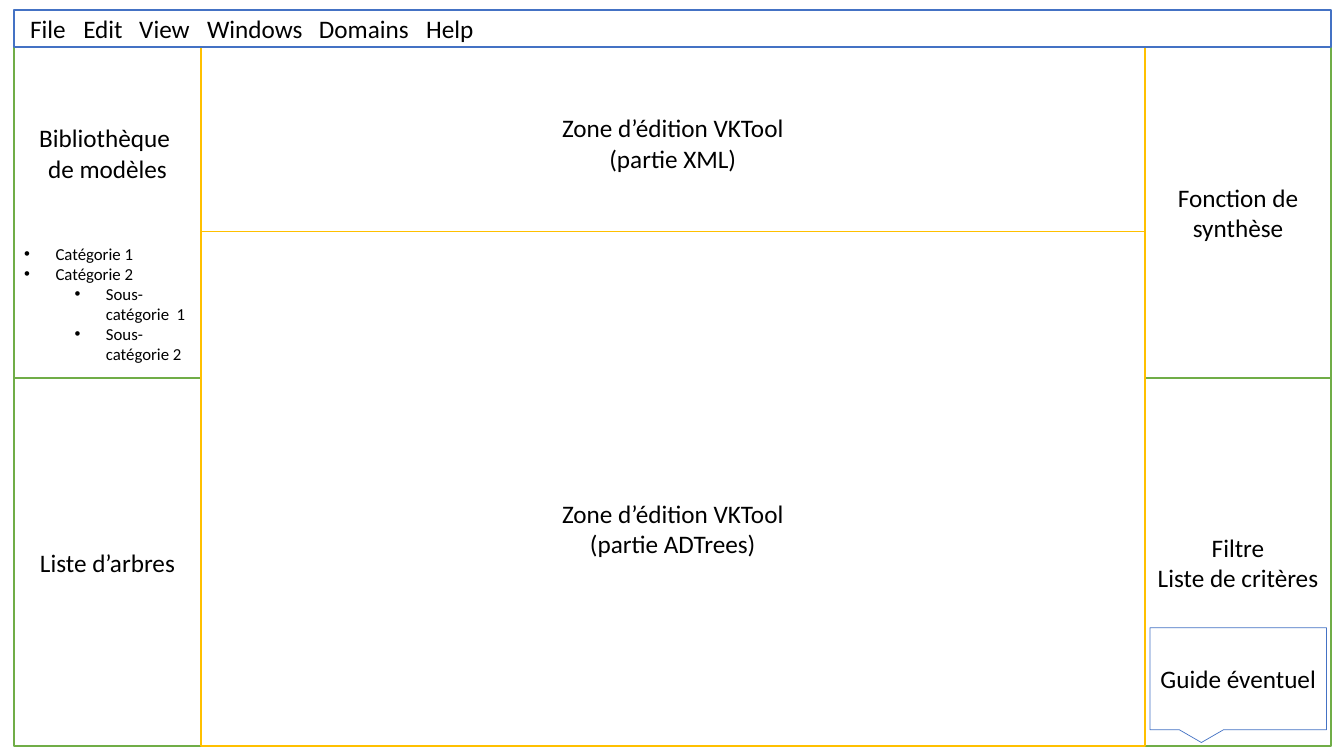
import dataclasses
import typing

import pptx
import pptx.dml.color
import pptx.enum.shapes
import pptx.enum.text
import pptx.oxml
import pptx.oxml.ns
import pptx.util

Cm = pptx.util.Cm
Pt = pptx.util.Pt
RGBColor = pptx.dml.color.RGBColor
Shape = pptx.enum.shapes.MSO_SHAPE
Align = pptx.enum.text.PP_ALIGN
Anchor = pptx.enum.text.MSO_ANCHOR

WHITE = RGBColor(0xFF, 0xFF, 0xFF)
BLACK = RGBColor(0x00, 0x00, 0x00)
GREEN = RGBColor(0x70, 0xAD, 0x47)
GOLD = RGBColor(0xFF, 0xC0, 0x00)
BLUE = RGBColor(0x44, 0x72, 0xC4)

# Window layout, in centimetres
LEFT, RIGHT = 0.36, 33.55
TOP, MENU_BOTTOM, SPLIT, BOTTOM = 0.25, 1.19, 9.53, 18.8
SIDE_WIDTH = 4.7
EDIT_LEFT, EDIT_RIGHT = LEFT + SIDE_WIDTH, RIGHT - SIDE_WIDTH
EDIT_SPLIT = 5.82
ZONE_WIDTH, ZONE_HEIGHT = 8.5, 1.8
BULLET_HANG = 0.79
MENU_TABS = (1.34, 2.75, 4.46, 7.28, 9.98)


@dataclasses.dataclass(frozen=True)
class Line:
    text: str
    size: int = 18
    align: Align = Align.CENTER
    level: int = 0
    bullet_left: float | None = None
    space_before: int = 0
    tabs: tuple[float, ...] = ()


@dataclasses.dataclass(frozen=True)
class Panel:
    left: float
    top: float
    right: float
    bottom: float
    color: RGBColor
    lines: tuple[Line, ...] = ()
    kind: Shape = Shape.RECTANGLE
    weight: float = 1.5
    frame: dict[str, typing.Any] = dataclasses.field(default_factory=dict)


def apply_format(target: typing.Any, values: dict[str, typing.Any]) -> None:
    for name, value in values.items():
        setattr(target, name, value)


def add_child(parent: typing.Any, xml: str) -> None:
    parent.append(pptx.oxml.parse_xml(xml))


def write_line(para: typing.Any, line: Line) -> None:
    apply_format(para, {"alignment": line.align, "level": line.level,
                        "space_before": Pt(line.space_before)})
    namespace = pptx.oxml.ns.nsdecls("a")
    properties = para._p.get_or_add_pPr()
    if line.bullet_left is not None:
        properties.set("marL", str(Cm(line.bullet_left)))
        properties.set("indent", str(-Cm(BULLET_HANG)))
        add_child(properties, f'<a:buFont {namespace} typeface="Arial"/>')
        add_child(properties, f'<a:buChar {namespace} char="•"/>')
    if line.tabs:
        stops = "".join(f'<a:tab pos="{Cm(stop)}" algn="l"/>' for stop in line.tabs)
        add_child(properties, f"<a:tabLst {namespace}>{stops}</a:tabLst>")
    span = para.add_run()
    span.text = line.text
    apply_format(span.font, {"name": "Calibri", "size": Pt(line.size)})
    span.font.color.rgb = BLACK


def write_lines(box: typing.Any, lines: tuple[Line, ...],
                frame: dict[str, typing.Any]) -> None:
    text_frame = box.text_frame
    apply_format(text_frame, {"word_wrap": True,
                              "vertical_anchor": Anchor.MIDDLE, **frame})
    for index, line in enumerate(lines):
        para = text_frame.add_paragraph() if index else text_frame.paragraphs[0]
        write_line(para, line)


def draw_panel(page: typing.Any, panel: Panel) -> None:
    box = page.shapes.add_shape(
        panel.kind, Cm(panel.left), Cm(panel.top),
        Cm(panel.right - panel.left), Cm(panel.bottom - panel.top))
    box.shadow.inherit = False
    box.fill.solid()
    box.fill.fore_color.rgb = WHITE
    box.line.color.rgb = panel.color
    box.line.width = Pt(panel.weight)
    write_lines(box, panel.lines, panel.frame)


def draw_zone_label(page: typing.Any, top: float, part: str) -> None:
    left = (LEFT + RIGHT - ZONE_WIDTH) / 2
    box = page.shapes.add_textbox(Cm(left), Cm(top), Cm(ZONE_WIDTH), Cm(ZONE_HEIGHT))
    write_lines(box, (Line("Zone d’édition VKTool"), Line(part)), {})


def draw_divider(page: typing.Any, top: float) -> None:
    divider = page.shapes.add_connector(
        pptx.enum.shapes.MSO_CONNECTOR.STRAIGHT,
        Cm(EDIT_LEFT), Cm(top), Cm(EDIT_RIGHT), Cm(top))
    divider.line.color.rgb = GOLD
    divider.line.width = Pt(0.5)
    add_child(divider._element.spPr,
              f'<a:effectLst {pptx.oxml.ns.nsdecls("a")}/>')


def category(text: str, level: int = 0, space_before: int = 0) -> Line:
    return Line(text, 12, Align.LEFT, level,
                BULLET_HANG + 1.27 * level, space_before)


LIBRARY = (
    Line("Bibliothèque "),
    Line("de modèles"),
    category("Catégorie 1", space_before=43),
    category("Catégorie 2"),
    category("Sous-catégorie  1", level=1),
    category("Sous-catégorie 2", level=1),
)
MENU = Line("\t".join(("File", "Edit", "View", "Windows", "Domains", "Help")),
            align=Align.LEFT, tabs=MENU_TABS)

PANELS = (
    # Side panels
    Panel(LEFT, MENU_BOTTOM, EDIT_LEFT, SPLIT, GREEN, LIBRARY,
          frame={"vertical_anchor": Anchor.TOP, "margin_top": Cm(1.9)}),
    Panel(LEFT, SPLIT, EDIT_LEFT, BOTTOM, GREEN, (Line("Liste d’arbres"),)),
    Panel(EDIT_RIGHT, MENU_BOTTOM, RIGHT, SPLIT, GREEN,
          (Line("Fonction de synthèse"),)),
    Panel(EDIT_RIGHT, SPLIT, RIGHT, BOTTOM, GREEN,
          (Line("Filtre"), Line("Liste de critères"))),
    # Editing area and menu bar
    Panel(EDIT_LEFT, MENU_BOTTOM, EDIT_RIGHT, BOTTOM, GOLD),
    Panel(LEFT, TOP, RIGHT, MENU_BOTTOM, BLUE, (MENU,),
          frame={"margin_left": Cm(0.4)}),
    # Guide bubble
    Panel(28.98, 15.82, 33.43, 18.39, BLUE, (Line("Guide éventuel"),),
          Shape.RECTANGULAR_CALLOUT, 0.5,
          {"margin_left": Cm(0.1), "margin_right": Cm(0.1)}),
)

deck = pptx.Presentation()
apply_format(deck, {"slide_width": Cm(33.87), "slide_height": Cm(19.05)})
page = deck.slides.add_slide(deck.slide_layouts[6])

for panel in PANELS:
    draw_panel(page, panel)

# Two halves of the editing area
draw_divider(page, EDIT_SPLIT)
draw_zone_label(page, 2.7, "(partie XML)")
draw_zone_label(page, 12.42, "(partie ADTrees)")

deck.save("out.pptx")
